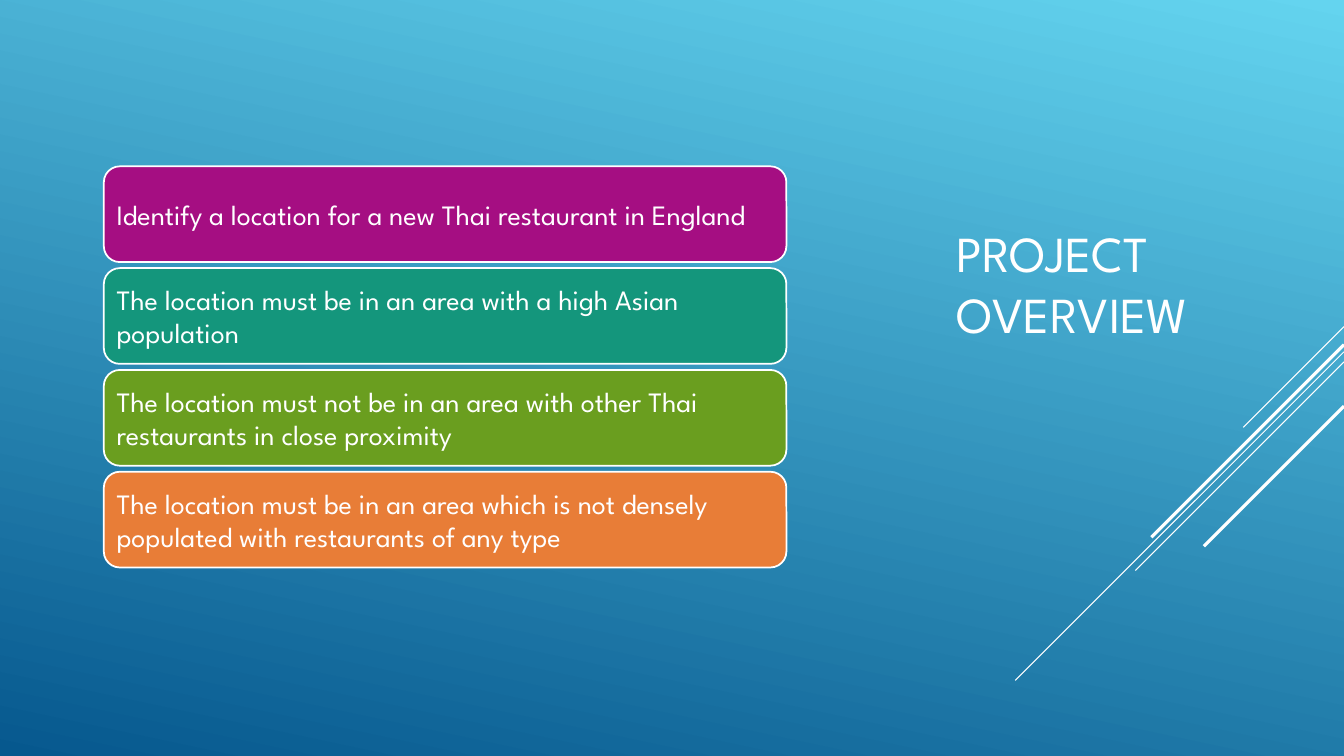
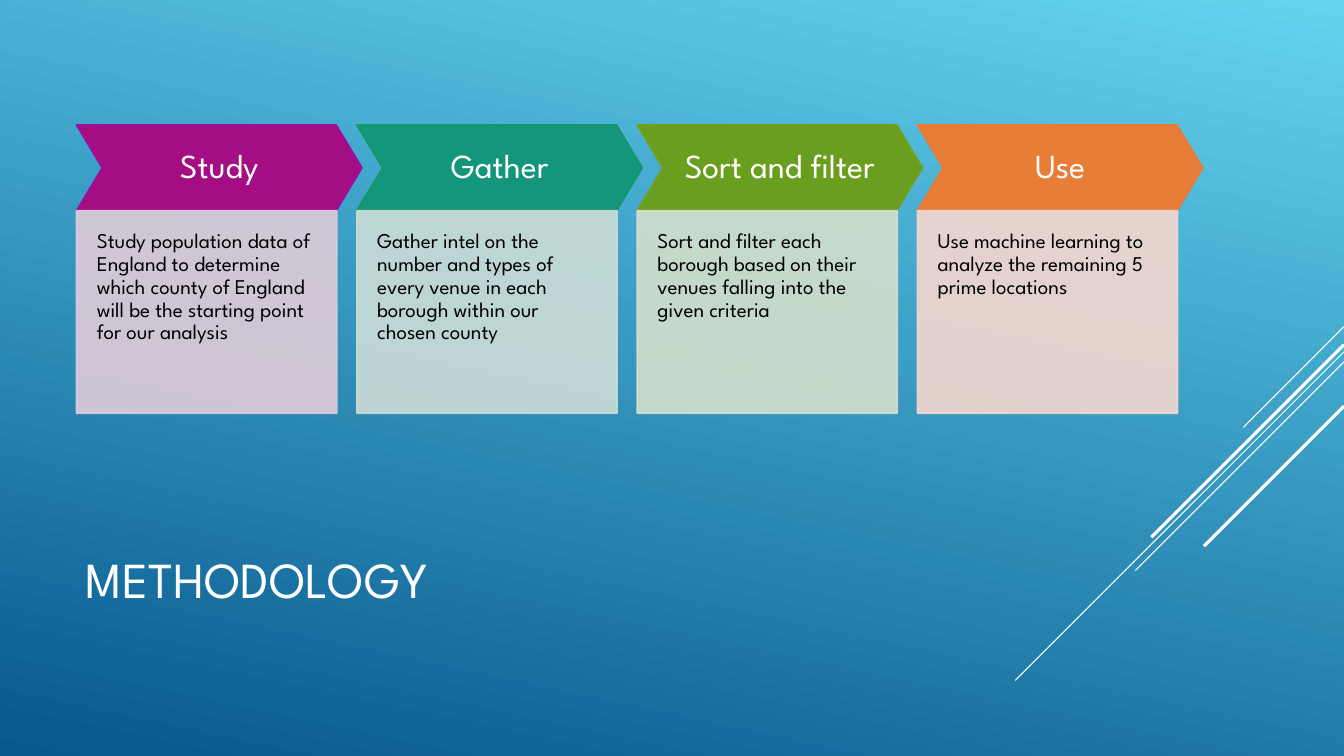
import pptx
import pptx.util
import pptx.dml.color
import pptx.enum.shapes
import pptx.enum.text
import pptx.oxml.ns
import pptx.oxml.xmlchemy

Inches = pptx.util.Inches
Pt = pptx.util.Pt
SHAPE = pptx.enum.shapes.MSO_SHAPE
ANCHOR = pptx.enum.text.MSO_ANCHOR
ALIGN = pptx.enum.text.PP_ALIGN

FONT = "League Spartan"
SLIDE_WIDTH, SLIDE_HEIGHT = 13.33, 7.5
COLOURS = {
    "sky": "64D4EF", "deep": "06588E", "white": "FFFFFF", "black": "000000",
    "purple": "A50E82", "purple edge": "990EA5",
    "purple tint": "E1CCD8", "purple tint edge": "E1CCDF",
    "teal": "14967C", "teal edge": "149666",
    "teal tint": "CCDDD7", "teal tint edge": "CCDDD4",
    "green": "6A9E1F", "green edge": "759E1F",
    "green tint": "D4DFCC", "green tint edge": "D6DFCC",
    "orange": "E87D37", "orange edge": "E87937",
    "orange tint": "F6D7CE", "orange tint edge": "F6D7CE",
}
HUES = ["purple", "teal", "green", "orange"]
STRIPES = [(3.24, 1, 0.75), (3.49, 3.26, 0.75), (3.59, 2.07, 0.75),
           (3.42, 1.91, 2.25), (4.03, 1.39, 2.25)]

CRITERIA = [
    "Identify a location for a new Thai restaurant in England",
    "The location must be in an area with a high Asian population",
    "The location must not be in an area with other Thai restaurants in close proximity",
    "The location must be in an area which is not densely populated with restaurants of any type",
]
STEPS = [
    ("Study", "Study population data of England to determine which county of England "
              "will be the starting point for our analysis"),
    ("Gather", "Gather intel on the number and types of every venue in each borough "
               "within our chosen county"),
    ("Sort and filter", "Sort and filter each borough based on their venues falling "
                        "into the given criteria"),
    ("Use", "Use machine learning to analyze the remaining 5 prime locations"),
]


def rgb(name):
    return pptx.dml.color.RGBColor.from_string(COLOURS[name])


def write(shape, text, size, colour="white", anchor=ANCHOR.MIDDLE, align=ALIGN.LEFT,
          insets=(0.1, 0.05, 0.1, 0.05), line_spacing=1.0, space_after=0):
    frame = shape.text_frame
    frame.text = text
    frame.word_wrap = True
    frame.vertical_anchor = anchor
    frame.margin_left, frame.margin_top, frame.margin_right, frame.margin_bottom = map(
        Inches, insets)
    paragraph = frame.paragraphs[0]
    paragraph.alignment = align
    paragraph.line_spacing = line_spacing
    paragraph.space_after = Pt(space_after)
    font = paragraph.runs[0].font
    font.name = FONT
    font.size = Pt(size)
    font.color.rgb = rgb(colour)


def add_panel(slide, kind, box, fill, edge):
    panel = slide.shapes.add_shape(kind, *map(Inches, box))
    panel.shadow.inherit = False
    panel.fill.solid()
    panel.fill.fore_color.rgb = rgb(fill)
    panel.line.color.rgb = rgb(edge)
    panel.line.width = Pt(1.25)
    return panel


def make_translucent(panel, percent):
    for colour in panel._element.spPr.iter(pptx.oxml.ns.qn("a:srgbClr")):
        alpha = pptx.oxml.xmlchemy.OxmlElement("a:alpha")
        alpha.set("val", str(percent * 1000))
        colour.append(alpha)


def paint_background(slide):
    fill = slide.background.fill
    fill.gradient()
    fill.gradient_angle = 258
    for stop, name in zip(fill.gradient_stops, ("sky", "deep")):
        stop.color.rgb = rgb(name)


def add_stripe(slide, top, run, width):
    stripe = slide.shapes.add_connector(
        pptx.enum.shapes.MSO_CONNECTOR.STRAIGHT,
        Inches(SLIDE_WIDTH), Inches(top), Inches(SLIDE_WIDTH - run), Inches(top + run))
    stripe.line.color.rgb = rgb("white")
    stripe.line.width = Pt(width)
    stripe._element.spPr.append(pptx.oxml.xmlchemy.OxmlElement("a:effectLst"))


def add_slide(deck, title, title_box):
    slide = deck.slides.add_slide(deck.slide_layouts[6])
    paint_background(slide)
    for stripe in STRIPES:
        add_stripe(slide, *stripe)
    write(slide.shapes.add_textbox(*map(Inches, title_box)), title, 36)
    return slide


def add_criterion(slide, index, text, hue):
    bar = add_panel(slide, SHAPE.ROUNDED_RECTANGLE,
                    (1.03, 1.65 + 1.01 * index, 6.77, 0.95), hue, "white")
    write(bar, text, 20, insets=(0.08,) * 4, space_after=8)


def add_step(slide, index, heading, detail, hue):
    left = 0.76 + 2.78 * index
    chevron = add_panel(slide, SHAPE.CHEVRON, (left, 1.24, 2.83, 0.85), hue, f"{hue} edge")
    chevron.adjustments[0] = 0.3
    write(chevron, heading, 24, align=ALIGN.CENTER, insets=(0.11,) * 4,
          line_spacing=0.9, space_after=10)
    card = add_panel(slide, SHAPE.RECTANGLE, (left, 2.09, 2.58, 2.01),
                     f"{hue} tint", f"{hue} tint edge")
    make_translucent(card, 90)
    write(card, detail, 15, "black", ANCHOR.TOP, insets=(0.2, 0.2, 0.2, 0.41),
          line_spacing=0.9, space_after=6)


def main():
    deck = pptx.Presentation()
    deck.slide_width = Inches(SLIDE_WIDTH)
    deck.slide_height = Inches(SLIDE_HEIGHT)

    overview = add_slide(deck, "PROJECT OVERVIEW", (9.39, 1.03, 3.33, 3.55))
    for index, (text, hue) in enumerate(zip(CRITERIA, HUES)):
        add_criterion(overview, index, text, hue)

    methodology = add_slide(deck, "METHODOLOGY", (0.75, 4.91, 9.33, 1.65))
    for index, ((heading, detail), hue) in enumerate(zip(STEPS, HUES)):
        add_step(methodology, index, heading, detail, hue)

    deck.save("out.pptx")


if __name__ == "__main__":
    main()
